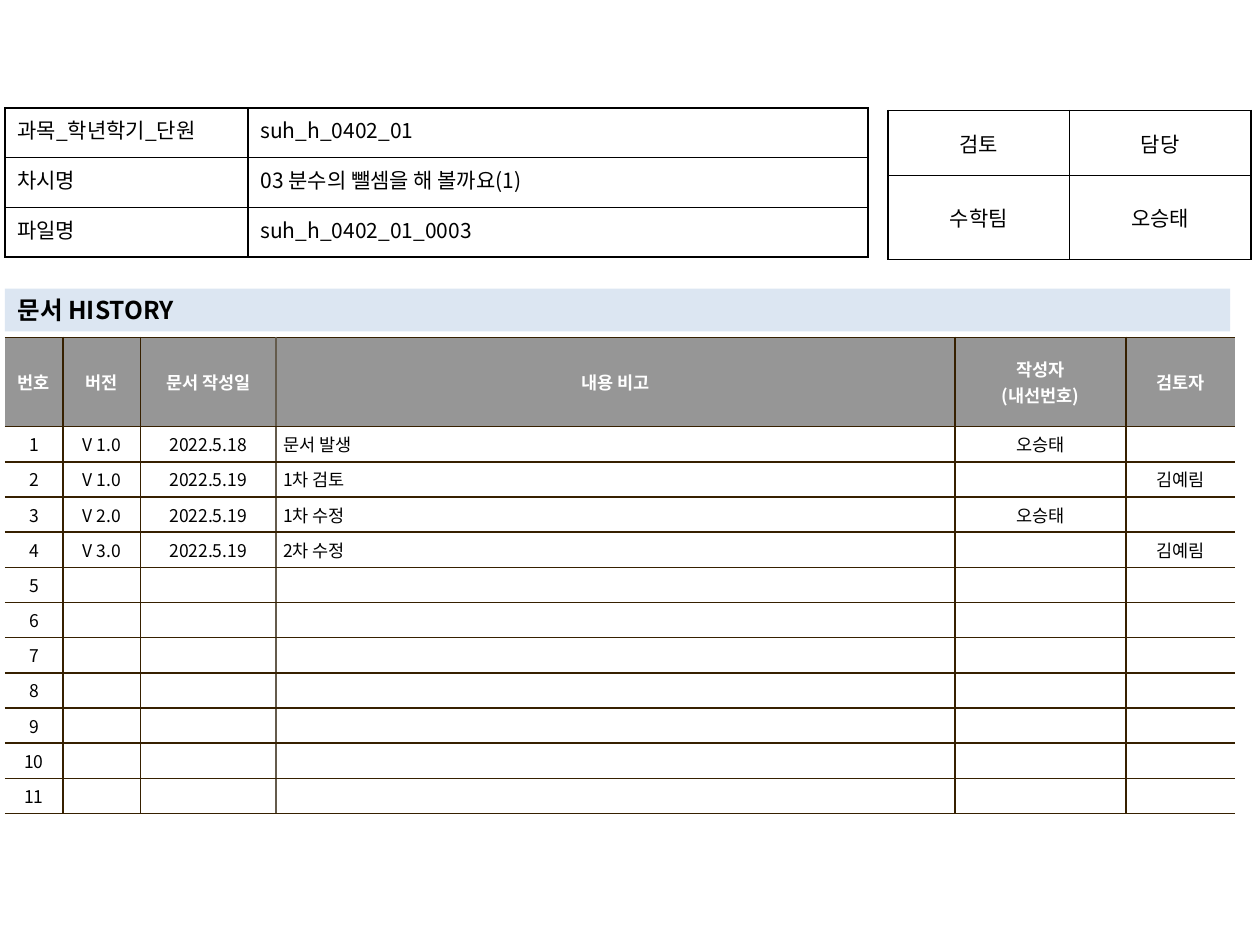
from lxml import etree
from pptx import Presentation
from pptx.dml.color import RGBColor
from pptx.enum.text import MSO_ANCHOR, MSO_AUTO_SIZE, PP_ALIGN
from pptx.oxml.ns import qn
from pptx.util import Cm, Pt

LEFT, CENTER, JUSTIFY = PP_ALIGN.LEFT, PP_ALIGN.CENTER, PP_ALIGN.JUSTIFY
MIDDLE, TOP = MSO_ANCHOR.MIDDLE, MSO_ANCHOR.TOP
NO_AUTOFIT = MSO_AUTO_SIZE.NONE
FONT = "Noto Sans CJK KR"
BLACK, WHITE, GRAY, PALE_BLUE = "000000", "FFFFFF", "969696", "DCE6F2"
BROWN, TAUPE = "362000", "645B4C"


def color(value):
    return RGBColor.from_string(value)


def write(para, text, size, ink, bold, align):
    para.alignment = align
    if not text:
        etree.SubElement(para._p, qn("a:endParaRPr"), sz=str(size * 100))
        return
    span = para.add_run()
    span.text = text
    span.font.size = Pt(size)
    span.font.bold = bold
    span.font.color.rgb = color(ink)
    span.font.name = FONT
    etree.SubElement(span.font._element, qn("a:ea"), typeface=FONT)


deck = Presentation()
deck.slide_width, deck.slide_height = Cm(25.4), Cm(19.05)
page = deck.slides.add_slide(deck.slide_layouts[5])

heading = page.shapes.title
heading.left, heading.top = Cm(0.1), Cm(5.82)
heading.width, heading.height = Cm(24.7), Cm(0.86)
heading.fill.solid()
heading.fill.fore_color.rgb = color(PALE_BLUE)
heading.text_frame.auto_size = NO_AUTOFIT
heading.text_frame.vertical_anchor = MIDDLE
write(heading.text_frame.paragraphs[0], "문서 HISTORY", 14, BLACK, True, LEFT)

history_rows = [
    ["번호", "버전", "문서 작성일", "내용 비고", "작성자\n(내선번호)", "검토자"],
    ["1", "V 1.0", "2022.5.18", "문서 발생", "오승태", ""],
    ["2", "V 1.0", "2022.5.19", "1차 검토", "", "김예림"],
    ["3", "V 2.0", "2022.5.19", "1차 수정", "오승태", ""],
    ["4", "V 3.0", "2022.5.19", "2차 수정", "", "김예림"],
] + [[str(number)] + [""] * 5 for number in range(5, 12)]

history = {
    "rows": history_rows, "left": 0.1, "top": 6.8,
    "widths": [1.17, 1.56, 2.73, 13.69, 3.45, 2.2],
    "heights": [1.8] + [0.64] * 11,
    "aligns": [CENTER, CENTER, CENTER, LEFT, CENTER, CENTER],
    "size": 10, "anchor": MIDDLE, "insets": (0.15, 0.1),
    "verticals": [None, BROWN, BROWN, TAUPE, BROWN, BROWN, None],
    "horizontal": BROWN, "header": True,
}
approval = {
    "rows": [["검토", "담당"], ["수학팀", "오승태"]],
    "left": 17.9, "top": 2.23, "widths": [3.66, 3.66], "heights": [1.31, 1.69],
    "aligns": [CENTER, CENTER],
    "size": 12, "anchor": MIDDLE, "insets": (0.25, 0.13),
    "verticals": [BLACK] * 3, "horizontal": BLACK, "header": False,
}
lesson = {
    "rows": [
        ["과목_학년학기_단원", "suh_h_0402_01"],
        ["차시명", "03 분수의 뺄셈을 해 볼까요(1)"],
        ["파일명", "suh_h_0402_01_0003"],
    ],
    "left": 0.1, "top": 2.18, "widths": [4.9, 12.5], "heights": [1] * 3,
    "aligns": [JUSTIFY, LEFT],
    "size": 12, "anchor": TOP, "insets": (0.25, 0.13),
    "verticals": [BLACK] * 3, "horizontal": BLACK, "header": False,
}

for grid in (history, approval, lesson):
    widths, heights = grid["widths"], grid["heights"]
    table = page.shapes.add_table(
        len(heights), len(widths), Cm(grid["left"]), Cm(grid["top"]),
        Cm(sum(widths)), Cm(sum(heights))).table
    table.first_row = table.horz_banding = False
    for column, width in zip(table.columns, widths):
        column.width = Cm(width)
    for row, height in zip(table.rows, heights):
        row.height = Cm(height)

    for row_index, texts in enumerate(grid["rows"]):
        is_header = grid["header"] and row_index == 0
        for column_index, text in enumerate(texts):
            cell = table.cell(row_index, column_index)
            side, edge = grid["insets"]
            cell.margin_left = cell.margin_right = Cm(side)
            cell.margin_top = cell.margin_bottom = Cm(edge)
            cell.vertical_anchor = grid["anchor"]

            borders = {
                "lnL": grid["verticals"][column_index],
                "lnR": grid["verticals"][column_index + 1],
                "lnT": grid["horizontal"],
                "lnB": grid["horizontal"],
            }
            properties = cell._tc.get_or_add_tcPr()
            for tag, ink in borders.items():
                line = etree.SubElement(properties, qn(f"a:{tag}"), w="12700")
                if ink:
                    fill = etree.SubElement(line, qn("a:solidFill"))
                    etree.SubElement(fill, qn("a:srgbClr"), val=ink)
                else:
                    etree.SubElement(line, qn("a:noFill"))

            if grid is history:
                cell.fill.solid()
                cell.fill.fore_color.rgb = color(GRAY if is_header else WHITE)
            else:
                cell.fill.background()

            align = CENTER if is_header else grid["aligns"][column_index]
            ink = WHITE if is_header else BLACK
            for line_index, words in enumerate(text.split("\n")):
                frame = cell.text_frame
                para = frame.add_paragraph() if line_index else frame.paragraphs[0]
                write(para, words, grid["size"], ink, is_header, align)

deck.save("out.pptx")
